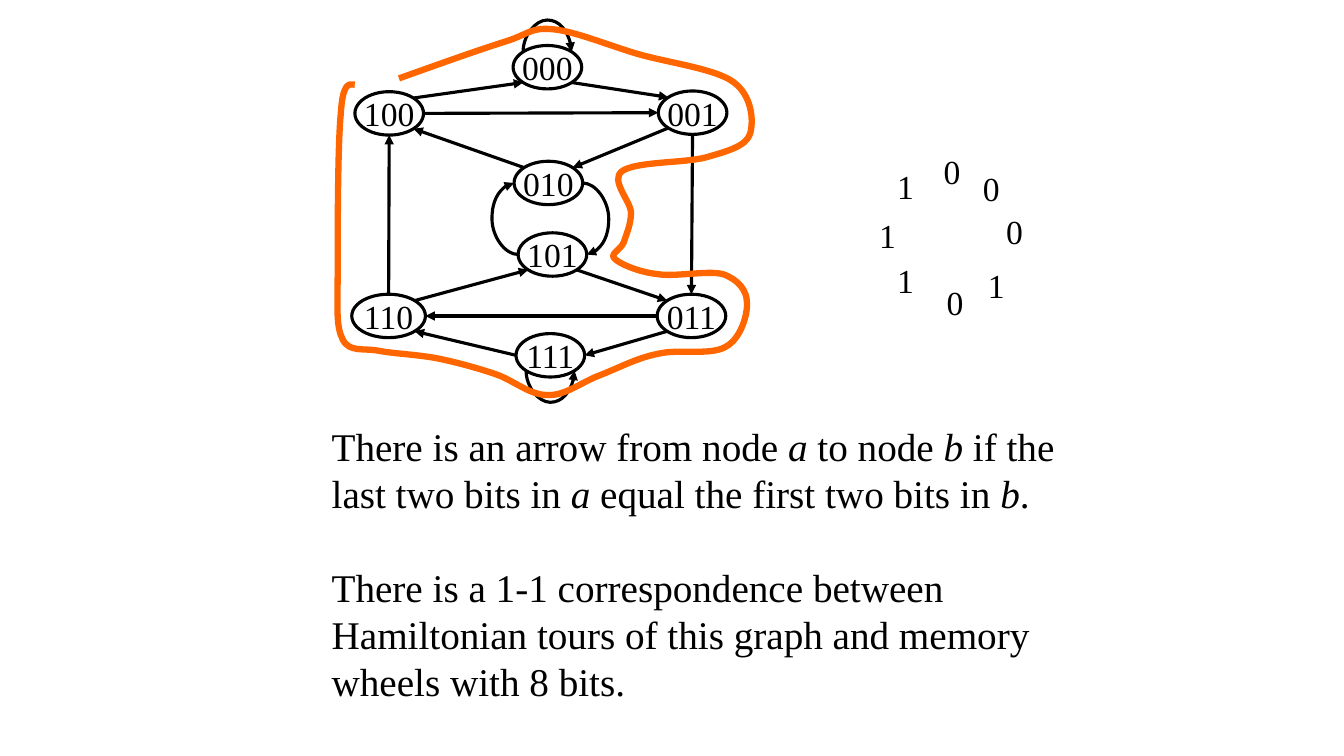
from math import cos, radians, sin

from lxml.etree import SubElement
from pptx import Presentation
from pptx.dml.color import RGBColor
from pptx.enum.shapes import MSO_CONNECTOR as Link, MSO_SHAPE
from pptx.enum.text import MSO_ANCHOR, PP_ALIGN
from pptx.oxml.ns import qn
from pptx.util import Pt

BLACK = RGBColor(0, 0, 0)
ORANGE = RGBColor(0xFF, 0x66, 0)
FONT = "Times New Roman"
NODE_WIDTH, NODE_HEIGHT = 49, 31
LINE_WIDTH = Pt(2.25)
BULGE = 18.7
LOOP_BEND = 200
LOOP_RISE = 24.5
LINE_PITCH = Pt(33.6)

deck = Presentation()
deck.slide_width, deck.slide_height = Pt(960), Pt(540)
slide = deck.slides.add_slide(deck.slide_layouts[6])
shapes = slide.shapes

# Centre of each node
nodes = {
    "000": (391, 48), "100": (278, 81), "010": (391.7, 130.7), "001": (494.7, 80.5),
    "101": (394.6, 181.8), "110": (277.6, 225.7), "111": (393.1, 253.8), "011": (493.9, 225.7),
}
widths = {"110": 52.6}


def site(label, angle):
    """Point on a node's outline; angles run clockwise from the right."""
    x, y = nodes[label]
    turn = radians(angle)
    return (x + widths.get(label, NODE_WIDTH) / 2 * cos(turn),
            y + NODE_HEIGHT / 2 * sin(turn))


def add_arrow(start, end, bend=None, rotation=0):
    """Arrow between two points; bend is the curve's reach as a multiple of its width."""
    kind = Link.STRAIGHT if bend is None else Link.CURVE
    arrow = shapes.add_connector(kind, *(Pt(value) for value in start + end))
    arrow.line.width = LINE_WIDTH
    arrow.line.color.rgb = BLACK
    properties = arrow._element.spPr
    SubElement(properties.find(qn("a:ln")), qn("a:tailEnd"), type="triangle")
    SubElement(properties, qn("a:effectLst"))
    if bend is not None:
        guides = properties.find(qn("a:prstGeom")).find(qn("a:avLst"))
        SubElement(guides, qn("a:gd"), name="adj1", fmla=f"val {round(bend * 100000)}")
    if rotation:
        properties.find(qn("a:xfrm")).set("rot", str(rotation * 60000))


# Explanation
box = shapes.add_textbox(Pt(215.3), Pt(298), Pt(589), Pt(211))
frame = box.text_frame
frame.word_wrap = True
frame.margin_left = frame.margin_right = Pt(21.6)
# Every second piece is italic
paragraphs = [
    ["There is an arrow from node ", "a", " to node ", "b",
     " if the last two bits in ", "a", " equal the first two bits in ", "b", "."],
    ["There is a 1-1 correspondence between Hamiltonian tours of this graph "
     "and memory wheels with 8 bits."],
]
for number, pieces in enumerate(paragraphs):
    para = frame.add_paragraph() if number else frame.paragraphs[0]
    para.line_spacing = LINE_PITCH
    if number:
        para.space_before = LINE_PITCH
    for position, piece in enumerate(pieces):
        span = para.add_run()
        span.text = piece
        span.font.name, span.font.size = FONT, Pt(28)
        span.font.color.rgb = BLACK
        span.font.italic = position % 2 == 1

# Nodes and the bits of the memory wheel
labels = []
for label, (x, y) in nodes.items():
    width = widths.get(label, NODE_WIDTH)
    node = shapes.add_shape(MSO_SHAPE.OVAL, Pt(x - width / 2), Pt(y - NODE_HEIGHT / 2),
                            Pt(width), Pt(NODE_HEIGHT))
    node.shadow.inherit = False
    node.fill.background()
    node.line.color.rgb = BLACK
    node.line.width = LINE_WIDTH
    node.text_frame.vertical_anchor = MSO_ANCHOR.MIDDLE
    labels.append((node, label))

wheel = [
    ("0", 652.3, 104.4), ("0", 680.4, 116.6), ("0", 697, 146.9), ("1", 684, 185.8),
    ("0", 654.5, 198), ("1", 619.2, 182.2), ("1", 606.2, 149.8), ("1", 619.2, 115.2),
]
for bit, left, top in wheel:
    labels.append((shapes.add_textbox(Pt(left), Pt(top), Pt(55.4), Pt(36)), bit))

for shape, text in labels:
    frame = shape.text_frame
    frame.word_wrap = False
    frame.margin_left = frame.margin_right = Pt(21.6)
    frame.text = text
    para = frame.paragraphs[0]
    para.alignment = PP_ALIGN.CENTER
    font = para.runs[0].font
    font.name, font.size = FONT, Pt(24)
    font.color.rgb = BLACK

# Straight arrows: node and angle at each end
edges = [
    ("100", 315, "000", 135), ("000", 45, "001", 225), ("001", 135, "010", 315),
    ("010", 225, "100", 45), ("110", 315, "101", 135), ("101", 45, "011", 225),
    ("011", 135, "111", 0), ("111", 180, "110", 45), ("011", 180, "110", 0),
    ("110", 270, "100", 90), ("100", 0, "001", 180), ("001", 90, "011", 270),
]
for tail, tail_angle, head, head_angle in edges:
    add_arrow(site(tail, tail_angle), site(head, head_angle))

# Curved arrows between the two middle nodes
for tail, head, angle in [("010", "101", 0), ("101", "010", 180)]:
    start, end = site(tail, angle), site(head, angle)
    add_arrow(start, end, BULGE / abs(end[0] - start[0]))

# Self-loops: a thin upright curve, turned a quarter
sliver = LOOP_RISE / LOOP_BEND
for label, side, rotation in [("000", -1, 90), ("111", 1, 270)]:
    x = nodes[label][0]
    y = site(label, 45 * side)[1]
    half = NODE_WIDTH / 2 * cos(radians(45))
    add_arrow((x + side * sliver / 2, y - side * half),
              (x - side * sliver / 2, y + side * half), side * LOOP_BEND, rotation)

# Hamiltonian tour: a start point, then two controls and an end for each curve
tour_start = (285, 56)
tour_curves = [
    (313, 46), (341, 36), (360, 30),
    (378, 24.5), (378.7, 19.4), (394.6, 20.9),
    (410.4, 22.3), (432.7, 31.7), (454.3, 38.2),
    (475.9, 44.6), (510.5, 49), (523.4, 58.3),
    (537.1, 67.7), (538.6, 86.4), (535.7, 95.8),
    (532.8, 104.4), (519.8, 108), (504.7, 112.3),
    (489.6, 116.6), (453.6, 115.2), (444.2, 122.4),
    (435.6, 128.9), (450.7, 144), (450.7, 151.9),
    (450.7, 160.6), (447.1, 167.8), (445.7, 172.8),
    (443.5, 178.6), (434.9, 181.4), (439.2, 185),
    (442.8, 188.6), (456.5, 194.4), (469.4, 195.8),
    (481.7, 198), (505.4, 193), (516.2, 195.8),
    (527, 199.4), (533.5, 207.4), (533.5, 216),
    (534.2, 224.6), (529.2, 241.9), (518.4, 247.7),
    (507.6, 254.2), (484.6, 249.1), (470.2, 252.7),
    (455, 255.6), (442.1, 262.8), (429.1, 267.8),
    (415.4, 272.9), (403.2, 283), (391, 282.2),
    (378, 282.2), (366.5, 271.4), (353.5, 267.1),
    (340.6, 262.8), (327.6, 259.2), (313.9, 256.3),
    (300.2, 253.4), (281.5, 252.7), (270.7, 250.6),
    (259.2, 248.4), (249.8, 252), (244.8, 242.6),
    (239.8, 232.6), (241.2, 220.3), (241.2, 193),
    (241.2, 166.3), (241.2, 103), (243.4, 81.4),
    (244.8, 59), (249.1, 59.8), (253.4, 60.5),
]
builder = shapes.build_freeform(Pt(tour_start[0]), Pt(tour_start[1]))
builder.add_line_segments([(Pt(x), Pt(y)) for x, y in tour_curves], close=False)
tour = builder.convert_to_shape()
tour.shadow.inherit = False
tour.fill.background()
tour.line.color.rgb = ORANGE
tour.line.width = Pt(4.5)

# Join each three line segments into one Bézier curve
outline = next(tour._element.iter(qn("a:path")))
segments = outline.findall(qn("a:lnTo"))
for first in range(0, len(segments), 3):
    curve = SubElement(outline, qn("a:cubicBezTo"))
    for segment in segments[first:first + 3]:
        curve.append(segment[0])
        outline.remove(segment)

deck.save("out.pptx")
